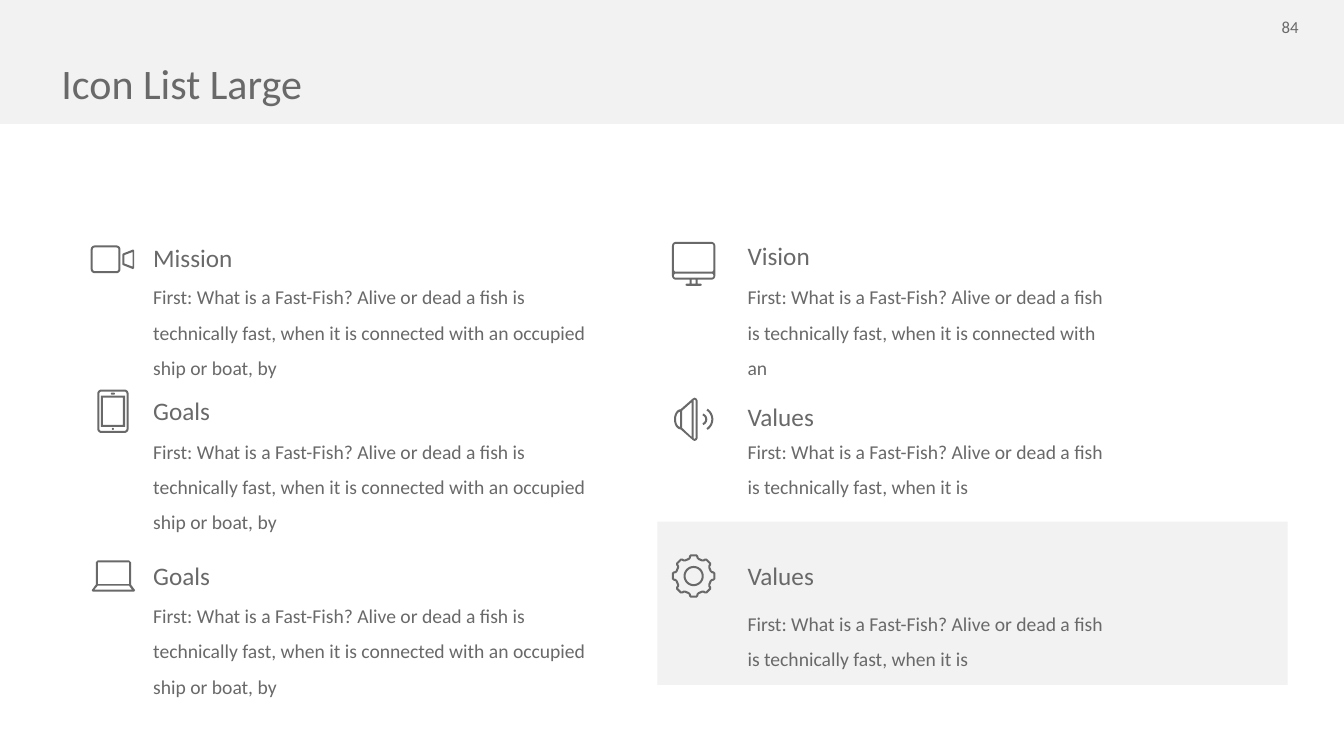
from math import cos, radians, sin

from pptx import Presentation
from pptx.dml.color import RGBColor
from pptx.enum.shapes import MSO_SHAPE
from pptx.enum.text import MSO_AUTO_SIZE, PP_ALIGN
from pptx.util import Pt

PX = 9144  # EMU per px, 100 px to the inch
WIDTH, HEIGHT = 2666, 1500
FONT, INK, PANEL = "Calibri", "696969", "F2F2F2"
RECT = MSO_SHAPE.RECTANGLE
FIT_SHAPE, FIT_NONE = MSO_AUTO_SIZE.SHAPE_TO_FIT_TEXT, MSO_AUTO_SIZE.NONE
LEFT, RIGHT = PP_ALIGN.LEFT, PP_ALIGN.RIGHT

# Content
TITLE, PAGE = "Icon List Large", "84"
SHORT = "First: What is a Fast-Fish? Alive or dead a fish is technically fast, when it is"
MEDIUM = SHORT + " connected with an"
LONG = MEDIUM + " occupied ship or boat, by"

# Columns: text left, body width
COLUMNS = [(294, 888), (1473, 735)]
# Items: column, heading, heading top, heading width, body, body top, body height,
# icon, icon left, icon top
ITEMS = [
    (0, "Mission", 445, 179, LONG, 538, 216, "camera", 180, 487),
    (1, "Vision", 442, 145, MEDIUM, 538, 216, "monitor", 1333, 480),
    (0, "Goals", 750, 134, LONG, 844, 216, "tablet", 193, 773),
    (1, "Values", 762, 153, SHORT, 844, 144, "speaker", 1337, 789),
    (0, "Goals", 1076, 134, LONG, 1170, 216, "laptop", 182, 1112),
    (1, "Values", 1076, 153, SHORT, 1186, 144, "gear", 1333, 1100),
]


# Outlines as lists of points
def arc(cx, cy, rx, ry, start, end, steps=12):
    angles = [radians(start + (end - start) * i / steps) for i in range(steps + 1)]
    return [(cx + rx * cos(a), cy + ry * sin(a)) for a in angles]


def circle(cx, cy, r):
    return arc(cx, cy, r, r, 0, 360, 48)


def box(x, y, w, h, r=0):
    if not r:
        return [(x, y), (x + w, y), (x + w, y + h), (x, y + h)]
    corners = [(x + w - r, y + h - r), (x + r, y + h - r), (x + r, y + r), (x + w - r, y + r)]
    return [p for i, (cx, cy) in enumerate(corners)
            for p in arc(cx, cy, r, r, 90 * i, 90 * i + 90, 6)]


def wave(cx, cy, r, half):
    return arc(cx, cy, r, r, -half, half) + arc(cx, cy, r - 4, r - 4, half, -half)


def cog(tooth, cx=43, cy=43, teeth=8):
    turns = [radians(360 * i / teeth) for i in range(teeth)]
    return [(cx + x * cos(a) - y * sin(a), cy + x * sin(a) + y * cos(a))
            for a in turns for x, y in tooth]


# Each icon is a list of contours; nested contours cut holes
ICONS = {
    "camera": [
        box(0, 0, 59, 55, 8), box(4, 4, 51, 47, 4),
        [(84, 8), (64, 16), (63, 18), (63, 38), (64, 39), (84, 47), (86, 45), (86, 10)],
        [(83, 42), (67, 36), (67, 19), (83, 13)],
    ],
    "tablet": [
        box(0, 0, 62, 86, 8), box(4, 4, 54, 78, 4),
        box(7, 12, 48, 62), box(11, 16, 40, 54),
        box(27, 6, 8, 4, 2), circle(31, 78, 2),
    ],
    "laptop": [
        [(86, 59), (78, 48), (78, 4), (74, 0), (12, 0), (8, 4), (8, 48), (0, 59), (2, 62), (84, 62)],
        [(5, 58), (12, 50), (74, 50), (80, 58)],
        box(12, 4, 62, 43),
    ],
    "monitor": [
        box(0, 0, 86, 75, 8), box(4, 4, 78, 55, 3), box(4, 63, 78, 8, 3),
        box(35, 75, 4, 8), box(47, 75, 4, 8), box(27, 83, 32, 4, 2),
    ],
    "speaker": [
        [(47, 6), (45, 2), (41, 0), (37, 2)] + arc(13, 43, 13, 20, 270, 90)
        + [(37, 84), (41, 86), (45, 84), (47, 80)],
        [(39, 5), (41, 4), (43, 6), (43, 80), (41, 82), (39, 81)],
        [(35, 9), (35, 78), (16, 60), (16, 26)],
        arc(12, 43, 8, 15, 270, 90),
        wave(54, 43, 12, 72), wave(53, 43, 25, 57),
    ],
    "gear": [
        cog([(-10, -36), (-9, -40), (-6, -43), (6, -43), (9, -40), (10, -36)]),
        cog([(-9, -32), (-6, -35), (-5, -39), (5, -39), (6, -35), (9, -32)]),
        circle(43, 43, 20), circle(43, 43, 16),
    ],
}


def rgb(value):
    return RGBColor.from_string(value)


def px(*values):
    return [round(v * PX) for v in values]


def paint(shape, color):
    shape.shadow.inherit = False
    shape.fill.solid()
    shape.fill.fore_color.rgb = rgb(color)
    shape.line.fill.background()


def add_panel(s, *place):
    paint(s.shapes.add_shape(RECT, *px(*place)), PANEL)


def add_text(s, place, text, size, spacing=1.5, wrap=True, align=LEFT, fit=FIT_SHAPE, inset=(10, 5)):
    tf = s.shapes.add_textbox(*px(*place)).text_frame
    tf.word_wrap, tf.auto_size = wrap, fit
    tf.margin_left = tf.margin_right = inset[0] * PX
    tf.margin_top = tf.margin_bottom = inset[1] * PX
    p = tf.paragraphs[0]
    p.alignment, p.line_spacing = align, spacing
    r = p.add_run()
    r.text = text
    r.font.name, r.font.size = FONT, Pt(size)
    r.font.color.rgb = rgb(INK)


def add_icon(s, name, left, top):
    contours = [[px(left + x, top + y) for x, y in c] for c in ICONS[name]]
    builder = s.shapes.build_freeform(*contours[0][0])
    for i, (first, *rest) in enumerate(contours):
        if i:
            builder.move_to(*first)
        builder.add_line_segments(rest, close=True)
    paint(builder.convert_to_shape(), INK)


def main():
    prs = Presentation()
    prs.slide_width, prs.slide_height = px(WIDTH, HEIGHT)
    s = prs.slides.add_slide(prs.slide_layouts[6])

    # Header band, page number and highlighted item
    add_panel(s, 0, 0, WIDTH, 246)
    add_text(s, (2468, 24, 128, 61), PAGE, 24, 1.0, align=RIGHT, inset=(20, 10))
    add_panel(s, 1304, 1035, 1250, 324)

    # Icon list
    for col, head, head_top, head_w, body, body_top, body_h, icon, x, y in ITEMS:
        left, body_w = COLUMNS[col]
        add_text(s, (left, body_top, body_w, body_h), body, 28)
        add_text(s, (left, head_top, head_w, 92), head, 36, wrap=False)
        add_icon(s, icon, x, y)

    # Title
    add_text(s, (112, 120, 2441, 126), TITLE, 60, 0.9, fit=FIT_NONE)
    prs.save("out.pptx")


if __name__ == "__main__":
    main()
